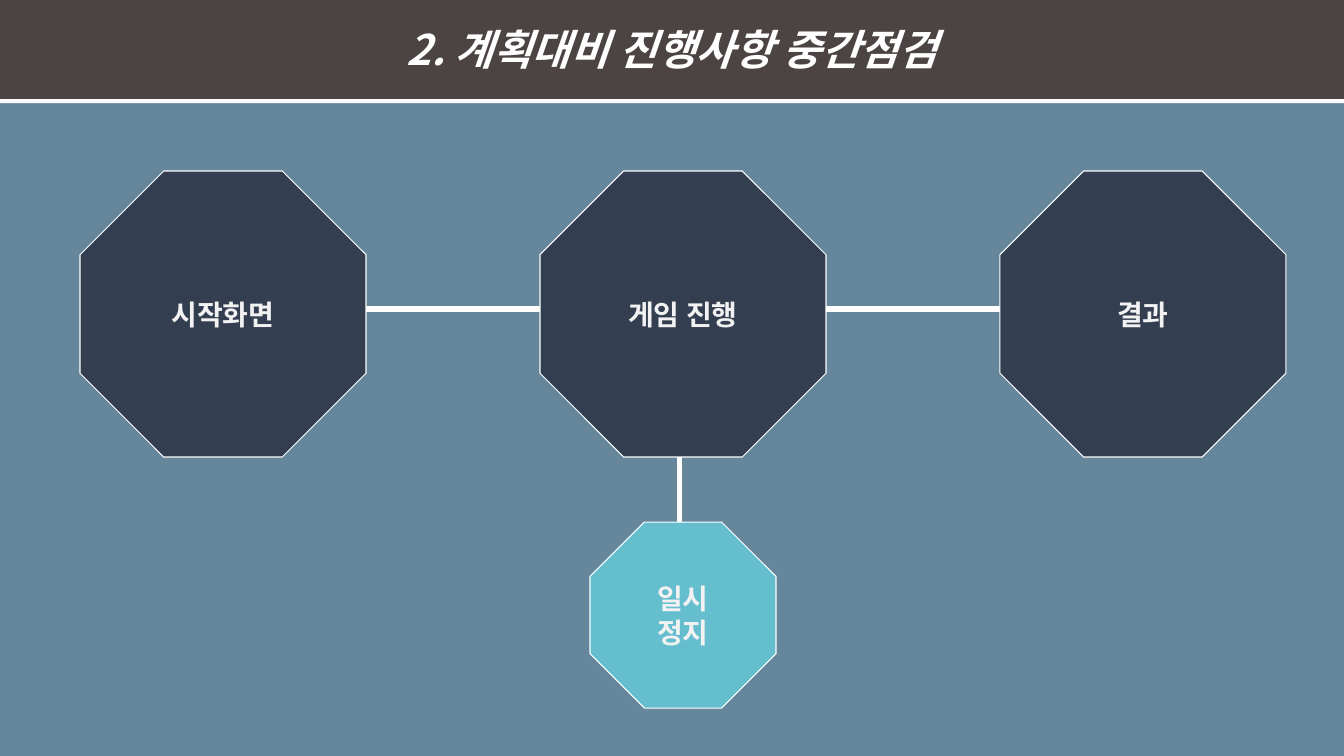
from dataclasses import dataclass

from lxml import etree
from pptx import Presentation
from pptx.dml.color import RGBColor
from pptx.enum.shapes import MSO_CONNECTOR, MSO_SHAPE
from pptx.enum.text import MSO_ANCHOR, PP_ALIGN
from pptx.oxml.ns import qn
from pptx.util import Emu, Pt

RECTANGLE = MSO_SHAPE.RECTANGLE
OCTAGON = MSO_SHAPE.OCTAGON
STRAIGHT = MSO_CONNECTOR.STRAIGHT
MIDDLE = MSO_ANCHOR.MIDDLE
CENTER = PP_ALIGN.CENTER
EMU_PER_PX = 914400 / 100.8


@dataclass(frozen=True)
class Theme:
    font: str = "Noto Sans CJK KR"
    background: str = "66869B"
    header: str = "4C4442"
    stage: str = "333F50"
    pause: str = "64BECD"
    white: str = "FFFFFF"
    label: str = "F2F2F2"
    title_size: float = 30
    label_size: float = 20
    outline: float = 0.75
    link: float = 3.6
    shadow_distance: float = 3


@dataclass(frozen=True)
class Link:
    x1: int
    y1: int
    x2: int
    y2: int


@dataclass(frozen=True)
class Node:
    text: str
    left: int
    top: int
    size: int
    fill: str


THEME = Theme()
STAGE_LEFT, STAGE_PITCH, STAGE_TOP, STAGE_SIZE = 80, 460, 171, 286
STAGES = ["시작화면", "게임 진행", "결과"]
NODES = [
    Node(text, STAGE_LEFT + i * STAGE_PITCH, STAGE_TOP, STAGE_SIZE, THEME.stage)
    for i, text in enumerate(STAGES)
] + [Node("일시\n정지", 590, 522, 186, THEME.pause)]
LINKS = [Link(680, 330, 680, 615), Link(191, 309, 1208, 309)]


def px(value: int) -> Emu:
    return Emu(round(value * EMU_PER_PX))


def rgb(value: str) -> RGBColor:
    return RGBColor.from_string(value)


def add_block(s, kind, box: tuple[int, int, int, int], fill: str):
    sp = s.shapes.add_shape(kind, *map(px, box))
    sp.shadow.inherit = False
    sp.fill.solid()
    sp.fill.fore_color.rgb = rgb(fill)
    return sp


def write(sp, text: str, size: float, color: str, italic: bool = False) -> None:
    tf = sp.text_frame
    tf.text = text
    tf.word_wrap = True
    tf.vertical_anchor = MIDDLE
    for p in tf.paragraphs:
        p.alignment = CENTER
        for r in p.runs:
            r.font.name = THEME.font
            r.font.size = Pt(size)
            r.font.bold = True
            r.font.italic = italic
            r.font.color.rgb = rgb(color)
            ea = etree.SubElement(r.font._element, qn("a:ea"))
            ea.set("typeface", THEME.font)


def add_header(s, text: str) -> None:
    sp = add_block(s, RECTANGLE, (0, -2, 1344, 101), THEME.header)
    sp.line.fill.background()
    effects = sp._element.spPr.find(qn("a:effectLst"))
    shadow = etree.SubElement(
        effects, qn("a:outerShdw"), dist=str(Pt(THEME.shadow_distance)),
        dir="5400000", algn="t", rotWithShape="0",
    )
    etree.SubElement(shadow, qn("a:srgbClr"), val=THEME.white)
    write(sp, text, THEME.title_size, THEME.white, italic=True)


def add_link(s, link: Link) -> None:
    line = s.shapes.add_connector(
        STRAIGHT, px(link.x1), px(link.y1), px(link.x2), px(link.y2)
    )
    line.line.color.rgb = rgb(THEME.white)
    line.line.width = Pt(THEME.link)
    etree.SubElement(line._element.spPr, qn("a:effectLst"))


def add_node(s, node: Node) -> None:
    sp = add_block(s, OCTAGON, (node.left, node.top, node.size, node.size), node.fill)
    sp.line.color.rgb = rgb(THEME.white)
    sp.line.width = Pt(THEME.outline)
    write(sp, node.text, THEME.label_size, THEME.label)


prs = Presentation()
prs.slide_width, prs.slide_height = px(1344), px(756)
s = prs.slides.add_slide(prs.slide_layouts[6])
s.background.fill.solid()
s.background.fill.fore_color.rgb = rgb(THEME.background)
add_header(s, "2. 계획대비 진행사항 중간점검")
for link in LINKS:
    add_link(s, link)
for node in NODES:
    add_node(s, node)
prs.save("out.pptx")
